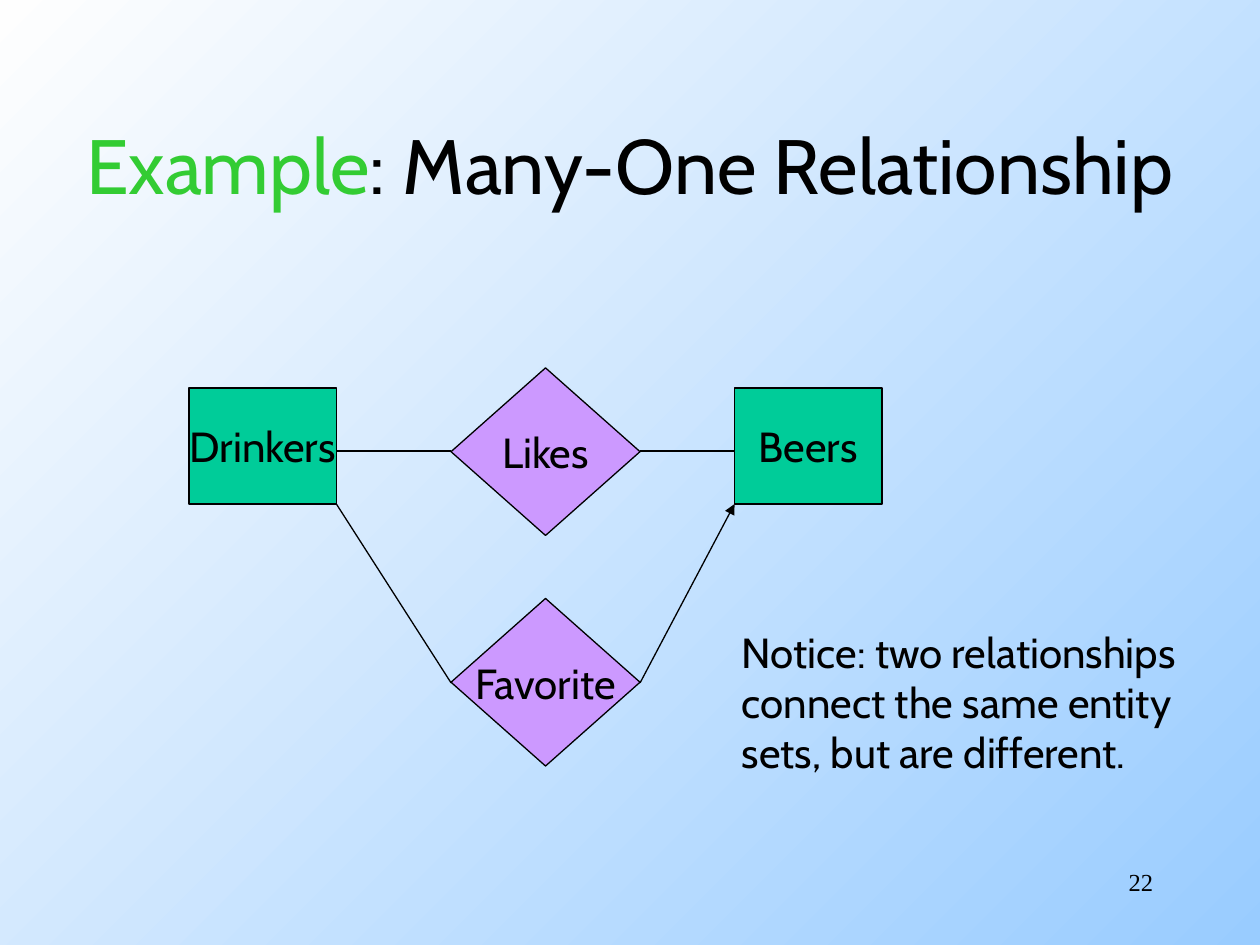
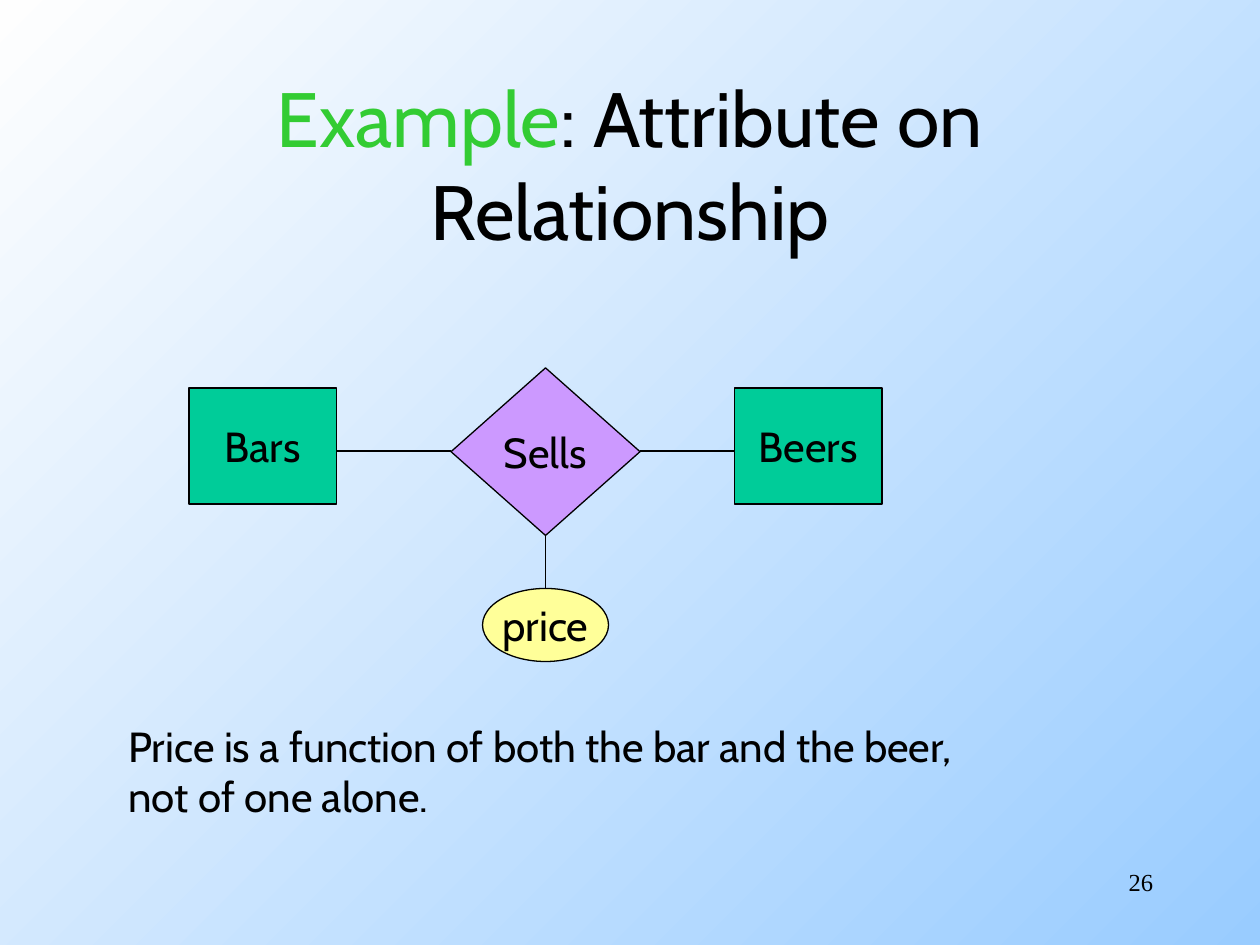
"""Build two entity-relationship example slides."""
from dataclasses import dataclass

from lxml import etree
from pptx import Presentation
from pptx.dml.color import RGBColor
from pptx.enum import shapes, text
from pptx.oxml import ns
from pptx.slide import Slide
from pptx.text.text import TextFrame
from pptx.util import Inches, Pt

BLACK = RGBColor(0x00, 0x00, 0x00)
GREEN = RGBColor(0x33, 0xCC, 0x33)
TEAL = RGBColor(0x00, 0xCC, 0x99)
PURPLE = RGBColor(0xCC, 0x99, 0xFF)
YELLOW = RGBColor(0xFF, 0xFF, 0x99)
SKY = RGBColor(0x99, 0xCC, 0xFF)
PALE = RGBColor(0xFE, 0xFE, 0xFE)
BODY_FONT = "Cabin"
NUMBER_FONT = "Times New Roman"
LINE_WIDTH = Pt(0.75)


@dataclass(frozen=True)
class Style:
    """Outline, fill and size of one kind of diagram node."""

    outline: shapes.MSO_SHAPE
    fill: RGBColor
    width: float
    height: float


ENTITY = Style(shapes.MSO_SHAPE.RECTANGLE, TEAL, 1.17, 0.92)
RELATIONSHIP = Style(shapes.MSO_SHAPE.DIAMOND, PURPLE, 1.5, 1.33)
ATTRIBUTE = Style(shapes.MSO_SHAPE.OVAL, YELLOW, 1.0, 0.58)


@dataclass(frozen=True)
class Node:
    """A labelled diagram node placed by its top left corner."""

    label: str
    style: Style
    left: float
    top: float


@dataclass(frozen=True)
class Link:
    """A straight line between two points, with an optional arrowhead."""

    start: tuple[float, float]
    end: tuple[float, float]
    arrow: bool = False


@dataclass(frozen=True)
class Area:
    """A rectangle on the slide, in inches."""

    left: float
    top: float
    width: float
    height: float


@dataclass(frozen=True)
class Example:
    """Everything that differs from slide to slide."""

    topic: str
    title_area: Area
    nodes: list[Node]
    links: list[Link]
    remark: str
    remark_area: Area
    number: int


NUMBER_AREA = Area(7.17, 6.83, 2.08, 0.5)
BEERS = Node("Beers", ENTITY, 5.83, 3.08)
SIDE_LINKS = [
    Link((2.67, 3.58), (3.58, 3.58)),
    Link((5.08, 3.58), (5.83, 3.58)),
]

EXAMPLES = [
    Example(
        topic="Many-One Relationship",
        title_area=Area(0, 0.67, 10, 1.25),
        nodes=[
            Node("Drinkers", ENTITY, 1.5, 3.08),
            BEERS,
            Node("Likes", RELATIONSHIP, 3.58, 2.92),
            Node("Favorite", RELATIONSHIP, 3.58, 4.75),
        ],
        links=SIDE_LINKS + [
            Link((2.67, 4.0), (3.58, 5.42)),
            Link((5.08, 5.42), (5.83, 4.0), arrow=True),
        ],
        remark="Notice: two relationships\nconnect the same entity\nsets, but are different.",
        remark_area=Area(5.79, 4.92, 4.08, 1.3),
        number=22,
    ),
    Example(
        topic="Attribute on Relationship",
        title_area=Area(0.75, 0.67, 8.5, 1.25),
        nodes=[
            Node("Bars", ENTITY, 1.5, 3.08),
            BEERS,
            Node("Sells", RELATIONSHIP, 3.58, 2.92),
            Node("price", ATTRIBUTE, 3.83, 4.67),
        ],
        links=SIDE_LINKS + [Link((4.33, 4.25), (4.33, 4.67))],
        remark="Price is a function of both the bar and the beer,\nnot of one alone.",
        remark_area=Area(0.92, 5.67, 7.52, 1.3),
        number=26,
    ),
]


def format_text(frame: TextFrame, size: float, align: text.PP_ALIGN,
                font: str = BODY_FONT) -> None:
    """Give every run of a frame one font, size and alignment."""
    for para in frame.paragraphs:
        para.alignment = align
        for span in para.runs:
            span.font.name = font
            span.font.size = Pt(size)
            span.font.color.rgb = BLACK


def add_text(page: Slide, area: Area, words: str) -> TextFrame:
    """Add a wrapping text box and return its frame."""
    box = page.shapes.add_textbox(Inches(area.left), Inches(area.top),
                                  Inches(area.width), Inches(area.height))
    frame = box.text_frame
    frame.word_wrap = True
    frame.text = words
    return frame


def add_title(page: Slide, area: Area, topic: str) -> None:
    """Add the centred title with its green lead word."""
    frame = add_text(page, area, "Example")
    frame.vertical_anchor = text.MSO_ANCHOR.MIDDLE
    frame.paragraphs[0].add_run().text = f": {topic}"
    format_text(frame, 44, text.PP_ALIGN.CENTER)
    frame.paragraphs[0].runs[0].font.color.rgb = GREEN


def add_node(page: Slide, node: Node) -> None:
    """Draw one labelled node."""
    style = node.style
    box = page.shapes.add_shape(style.outline, Inches(node.left), Inches(node.top),
                                Inches(style.width), Inches(style.height))
    box.shadow.inherit = False
    box.fill.solid()
    box.fill.fore_color.rgb = style.fill
    box.line.color.rgb = BLACK
    box.line.width = LINE_WIDTH
    frame = box.text_frame
    frame.word_wrap = False
    frame.vertical_anchor = text.MSO_ANCHOR.MIDDLE
    frame.text = node.label
    format_text(frame, 24, text.PP_ALIGN.CENTER)


def add_link(page: Slide, link: Link) -> None:
    """Draw one line, ending in a triangle if it is an arrow."""
    points = [Inches(value) for value in link.start + link.end]
    line = page.shapes.add_connector(shapes.MSO_CONNECTOR.STRAIGHT, *points)
    line.line.color.rgb = BLACK
    line.line.width = LINE_WIDTH
    if link.arrow:
        head = etree.SubElement(line.line._get_or_add_ln(), ns.qn("a:tailEnd"))
        head.set("type", "triangle")
    etree.SubElement(line._element.spPr, ns.qn("a:effectLst"))


def paint_background(page: Slide) -> None:
    """Fill the page from blue at lower right to white at upper left."""
    fill = page.background.fill
    fill.gradient()
    fill.gradient_angle = 135
    for stop, color in zip(fill.gradient_stops, (SKY, PALE)):
        stop.color.rgb = color


def add_example(deck: Presentation, example: Example) -> None:
    """Add one complete example slide."""
    page = deck.slides.add_slide(deck.slide_layouts[6])
    paint_background(page)
    add_title(page, example.title_area, example.topic)
    for node in example.nodes:
        add_node(page, node)
    for link in example.links:
        add_link(page, link)
    remark = add_text(page, example.remark_area, example.remark)
    format_text(remark, 24, text.PP_ALIGN.LEFT)
    number = add_text(page, NUMBER_AREA, str(example.number))
    format_text(number, 14, text.PP_ALIGN.RIGHT, NUMBER_FONT)


def main() -> None:
    """Build and save the deck."""
    deck = Presentation()
    deck.slide_width = Inches(10)
    deck.slide_height = Inches(7.5)
    for example in EXAMPLES:
        add_example(deck, example)
    deck.save("out.pptx")


if __name__ == "__main__":
    main()
